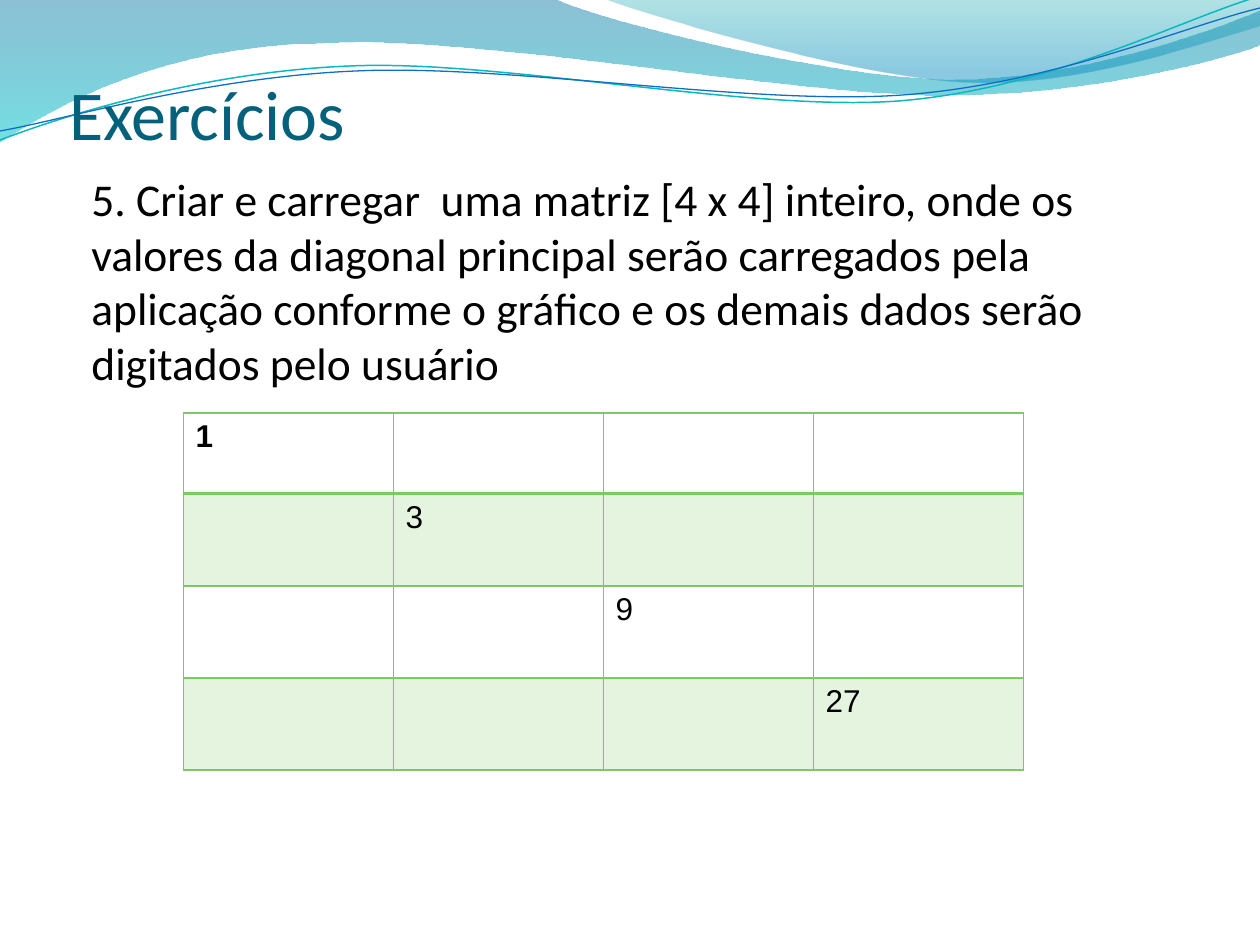
from dataclasses import dataclass

from lxml import etree
from pptx import Presentation
from pptx.dml.color import RGBColor
from pptx.enum.text import MSO_ANCHOR, MSO_AUTO_SIZE, PP_ALIGN
from pptx.oxml.ns import qn
from pptx.util import Emu, Pt

BOTTOM, TOP = MSO_ANCHOR.BOTTOM, MSO_ANCHOR.TOP
NO_FIT, LEFT = MSO_AUTO_SIZE.NONE, PP_ALIGN.LEFT
PX = 914400 // 126
TITLE_ONLY = 5


@dataclass(frozen=True)
class Theme:
    """Colours, fonts and type sizes of the slide."""
    title: str = "04617B"
    text: str = "000000"
    green: str = "7CCA62"
    grid: str = "A6A6A6"
    teal_line: str = "0AB8BF"
    blue_line: str = "0F6FC6"
    large_wave: tuple = ((0, "0074A1", 45), (1, "00C6CF", 55))
    small_wave: tuple = ((0, "00A1A9", 30), (0.8, "008BBF", 45))
    heading_font: str = "Calibri"
    table_font: str = "Arial"
    title_size: int = 40
    body_size: int = 26
    table_size: int = 18
    band_alpha: int = 20


def px(n):
    """Turn pixels into EMU."""
    return Emu(round(n * PX))


def set_alpha(parent, percent):
    """Make every RGB colour below parent translucent."""
    for clr in parent.iter(qn("a:srgbClr")):
        etree.SubElement(clr, qn("a:alpha"), val=str(percent * 1000))


def bend(sp, segments):
    """Turn each three-point segment of an outline into a cubic curve."""
    lines = iter(list(sp._element.iter(qn("a:lnTo"))))
    for seg in segments:
        parts = [next(lines) for _ in seg]
        if len(seg) == 3:
            curve = etree.Element(qn("a:cubicBezTo"))
            parts[0].addprevious(curve)
            for part in parts:
                curve.append(part[0])
                part.getparent().remove(part)


class SlideBuilder:
    """Adds styled elements to the current slide."""

    def __init__(self, slide, theme):
        """Keep the slide and its theme."""
        self.s, self.theme = slide, theme

    def style(self, p, font, size, color, bold=False):
        """Format a whole paragraph."""
        p.alignment = LEFT
        p.font.name, p.font.size, p.font.bold = font, Pt(size), bold
        p.font.color.rgb = RGBColor.from_string(color)

    def outline(self, start, segments, closed):
        """Add a freeform of lines (1 point) and curves (3 points)."""
        builder = self.s.shapes.build_freeform(*map(px, start))
        builder.add_line_segments(
            [(px(x), px(y)) for seg in segments for x, y in seg], close=closed)
        sp = builder.convert_to_shape()
        bend(sp, segments)
        sp.shadow.inherit = False
        return sp

    def wave(self, stops, start, segments):
        """Add a closed shape with a translucent top-down gradient."""
        sp = self.outline(start, segments, True)
        sp.line.fill.background()
        sp.fill.gradient()
        sp.fill.gradient_angle = 270
        for stop, (pos, color, alpha) in zip(sp.fill.gradient_stops, stops):
            stop.position = pos
            stop.color.rgb = RGBColor.from_string(color)
            set_alpha(stop.color._xFill, alpha)

    def curve(self, color, width, start, segments):
        """Add an open curved line."""
        sp = self.outline(start, segments, False)
        sp.fill.background()
        sp.line.color.rgb = RGBColor.from_string(color)
        sp.line.width = Pt(width)

    def title(self, text, x, y, w, h):
        """Fill the title placeholder and bring it to the front."""
        sp = self.s.shapes.title
        sp.left, sp.top, sp.width, sp.height = map(px, (x, y, w, h))
        tf = sp.text_frame
        tf.text = text
        tf.auto_size, tf.vertical_anchor = NO_FIT, BOTTOM
        tf.margin_left = tf.margin_right = tf.margin_bottom = 0
        th = self.theme
        self.style(tf.paragraphs[0], th.heading_font, th.title_size, th.title)
        sp._element.getparent().append(sp._element)

    def body(self, text, x, y, w, h):
        """Add a wrapped paragraph."""
        tf = self.s.shapes.add_textbox(*map(px, (x, y, w, h))).text_frame
        tf.word_wrap = True
        tf.text = text
        p, th = tf.paragraphs[0], self.theme
        self.style(p, th.heading_font, th.body_size, th.text)
        p.space_before = Pt(0.2 * th.body_size)

    def border(self, cell, side, color, width):
        """Draw one border of a cell."""
        ln = etree.SubElement(cell._tc.get_or_add_tcPr(), qn(f"a:ln{side}"),
                              w=str(Pt(width)))
        fill = etree.SubElement(ln, qn("a:solidFill"))
        etree.SubElement(fill, qn("a:srgbClr"), val=color)

    def diagonal_matrix(self, values, x, y, col_width, row_heights):
        """Add a square banded table with values on its main diagonal."""
        th, n = self.theme, len(values)
        table = self.s.shapes.add_table(
            n, n, px(x), px(y), px(n * col_width), px(sum(row_heights))).table
        table.first_row = table.horz_banding = False
        for col in table.columns:
            col.width = px(col_width)
        for r, height in enumerate(row_heights):
            table.rows[r].height = px(height)
            for c in range(n):
                cell = table.cell(r, c)
                cell.vertical_anchor = TOP
                cell.text = str(values[r]) if r == c else ""
                self.style(cell.text_frame.paragraphs[0], th.table_font,
                           th.table_size, th.text, bold=r == 0)
                for side in "LR":
                    self.border(cell, side, th.grid, 0.5)
                self.border(cell, "T", th.green, 2 if r == 1 else 1)
                self.border(cell, "B", th.green, 2 if r == 0 else 1)
                if r % 2:
                    cell.fill.solid()
                    cell.fill.fore_color.rgb = RGBColor.from_string(th.green)
                    set_alpha(cell.fill.fore_color._xFill, th.band_alpha)
                else:
                    cell.fill.background()


def main():
    """Build and save the slide."""
    prs = Presentation()
    prs.slide_width, prs.slide_height = px(1260), px(945)
    theme = Theme()
    s = SlideBuilder(prs.slides.add_slide(prs.slide_layouts[TITLE_ONLY]), theme)

    s.wave(theme.large_wave, (0, 0), [
        ((555, -1),),
        ((600, 21), (837, 79), (955, 79)),
        ((1075, 79), (1207, 33), (1260, 11)),
        ((1261, 45),),
        ((1237, 55), (1096, 96), (940, 95)),
        ((784, 95), (481, 35), (324, 43)),
        ((163, 45), (58, 105), (-1, 142))])
    s.wave(theme.small_wave, (604, -1), [
        ((641, 14), (859, 78), (969, 82)),
        ((1079, 87), (1211, 40), (1260, 26)),
        ((1260, 0),)])
    s.curve(theme.teal_line, 0.85, (0, 140), [
        ((60, 117), (199, 72), (349, 66)),
        ((498, 59), (747, 112), (898, 101)),
        ((1050, 89), (1182, 19), (1257, -3))])
    s.curve(theme.blue_line, 0.75, (0, 131), [
        ((59, 121), (207, 77), (357, 71)),
        ((508, 64), (752, 106), (903, 95)),
        ((1053, 84), (1185, 26), (1260, 8))])

    s.title("Exercícios", 69, 29, 1134, 126)
    s.body("5. Criar e carregar  uma matriz [4 x 4] inteiro, onde os valores da "
           "diagonal principal serão carregados pela aplicação conforme o "
           "gráfico e os demais dados serão digitados pelo usuário",
           79, 165, 1134, 684)
    s.diagonal_matrix([3 ** i for i in range(4)], 183, 413, 210,
                      (81, 92, 92, 92))
    prs.save("out.pptx")


main()
